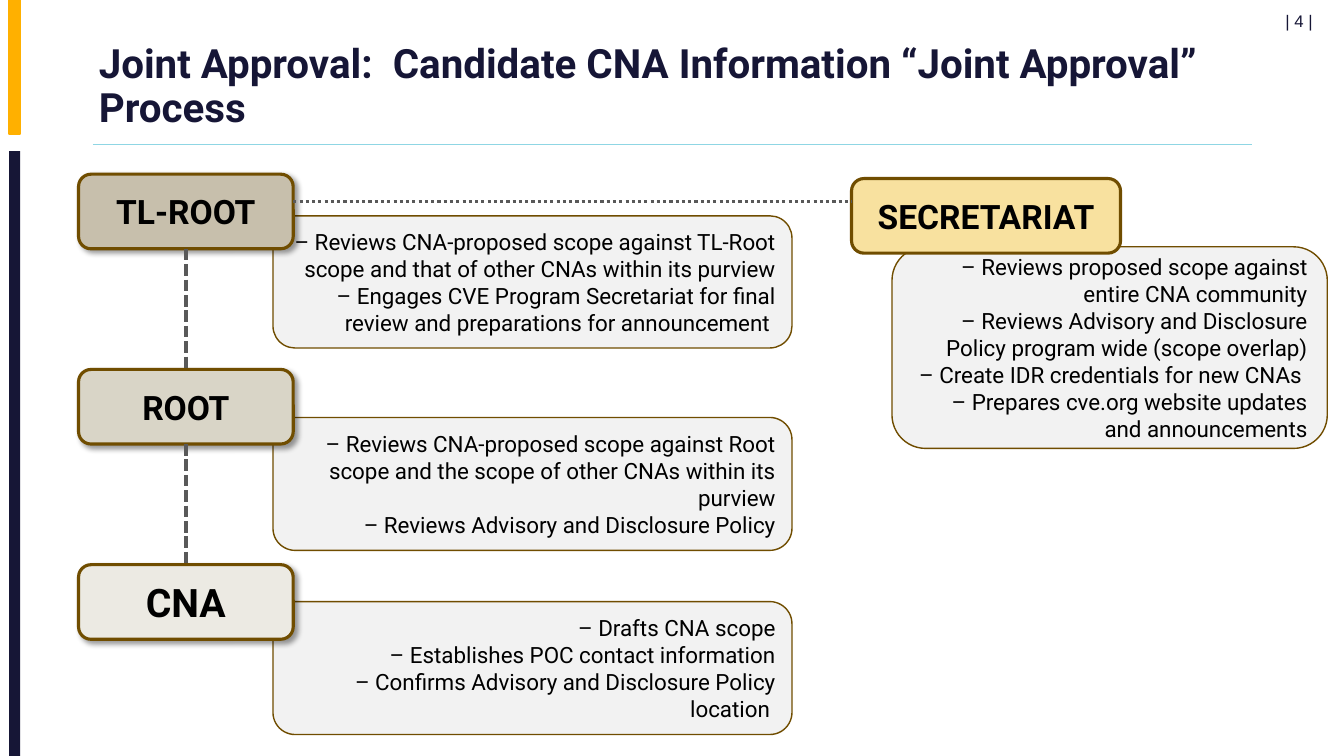
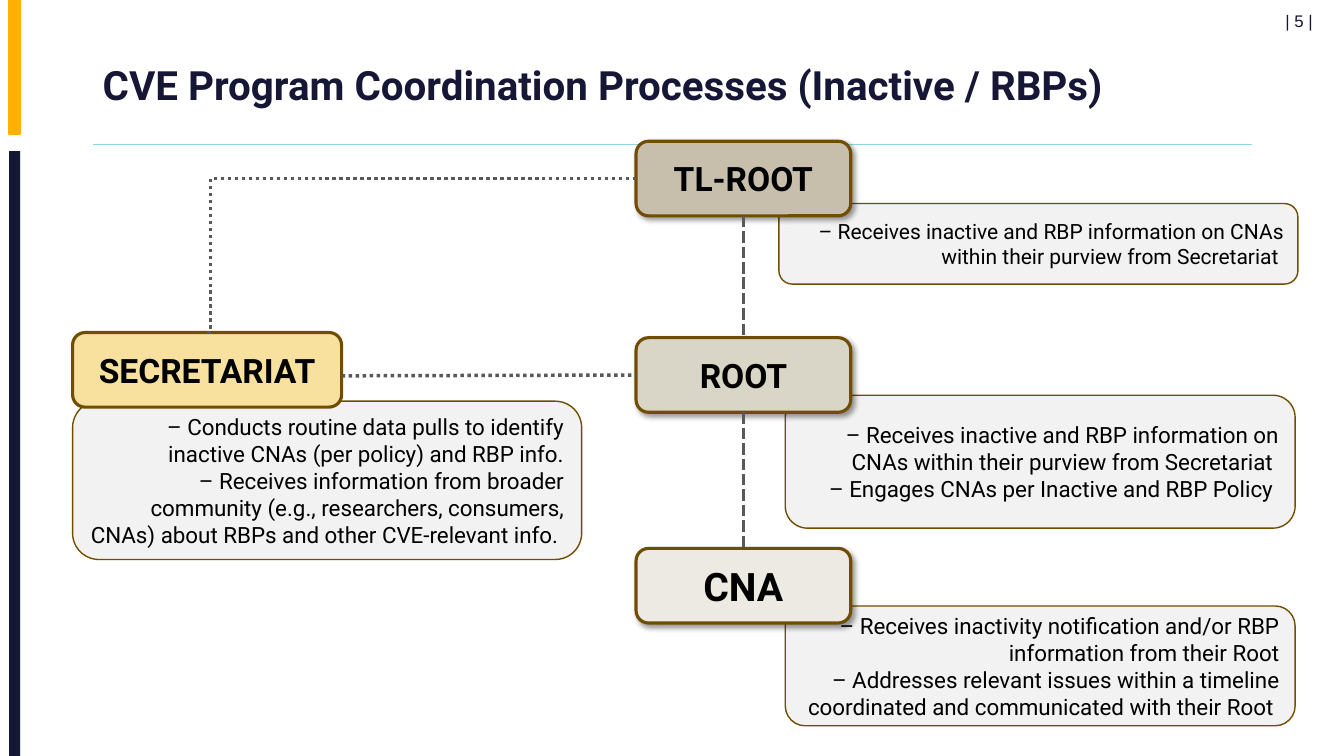
from itertools import pairwise

from lxml.etree import SubElement
from pptx import Presentation
from pptx.dml.color import RGBColor
from pptx.enum.dml import MSO_LINE
from pptx.enum.shapes import MSO_CONNECTOR, MSO_SHAPE
from pptx.enum.text import MSO_ANCHOR, PP_ALIGN
from pptx.oxml.ns import qn
from pptx.util import Cm, Pt

COLORS = {
    "navy": "161636",
    "amber": "FFB000",
    "rule": "8FD6E4",
    "border": "704D00",
    "note": "F2F2F2",
    "link": "595959",
    "text": "000000",
    "shadow": "000000",
    "TL-ROOT": "C7BFAC",
    "ROOT": "D9D5C7",
    "CNA": "ECEAE3",
    "SECRETARIAT": "F8E19F",
}
ROLE_SIZES = {"CNA": 28}
ROLE_WIDTH, SECRETARIAT_WIDTH, ROLE_HEIGHT = 5.41, 6.78, 1.88
TOP, LEFT, BOTTOM = 0, 1, 2


def rgb(name):
    return RGBColor.from_string(COLORS[name])


def cm_box(box):
    return [Cm(length) for length in box]


# Basic parts
def write(frame, lines, size, align, color="text", bold=False, font="Roboto",
          anchor=MSO_ANCHOR.MIDDLE, spacing=None):
    frame.word_wrap = True
    frame.vertical_anchor = anchor
    for i, line in enumerate(lines):
        paragraph = frame.add_paragraph() if i else frame.paragraphs[0]
        paragraph.text = line
        paragraph.alignment = align
        paragraph.line_spacing = spacing
        paragraph.font.name = font
        paragraph.font.size = Pt(size)
        paragraph.font.bold = bold
        paragraph.font.color.rgb = rgb(color)


def add_block(slide, kind, box, fill, border=None, weight=1):
    block = slide.shapes.add_shape(kind, *cm_box(box))
    block.shadow.inherit = False
    block.fill.solid()
    block.fill.fore_color.rgb = rgb(fill)
    if border:
        block.line.color.rgb = rgb(border)
        block.line.width = Pt(weight)
    else:
        block.line.fill.background()
    return block


def add_line(slide, start, end, color="link", weight=2.5, dash=None,
             kind=MSO_CONNECTOR.STRAIGHT):
    line = slide.shapes.add_connector(kind, *cm_box(start + end))
    line.line.color.rgb = rgb(color)
    line.line.width = Pt(weight)
    if dash:
        line.line.dash_style = dash
    SubElement(line._element.spPr, qn("a:effectLst"))
    return line


def cast_shadow(block):
    effects = block._element.spPr.find(qn("a:effectLst"))
    shadow = SubElement(effects, qn("a:outerShdw"), blurRad=str(Pt(4)),
                        dist=str(Pt(3)), dir="2700000", algn="tl",
                        rotWithShape="0")
    color = SubElement(shadow, qn("a:srgbClr"), val=COLORS["shadow"])
    SubElement(color, qn("a:alpha"), val="40000")


# Frame shared by both slides
def add_frame(prs, title, title_left, number):
    slide = prs.slides.add_slide(prs.slide_layouts[6])
    add_block(slide, MSO_SHAPE.RECTANGLE, (0.23, 0, 0.28, 3.38), "amber", "amber")
    add_block(slide, MSO_SHAPE.RECTANGLE, (0.23, 3.81, 0.28, 15.24), "navy")
    add_line(slide, (2.34, 3.63), (31.55, 3.63), "rule", 0.5)
    heading = slide.shapes.add_textbox(
        *cm_box((title_left, 1.02, 31.55 - title_left, 2.36)))
    write(heading.text_frame, [title], 28.8, PP_ALIGN.LEFT, "navy", True,
          spacing=0.9)
    page = slide.shapes.add_textbox(*cm_box((28.55, 0.15, 4.9, 0.71)))
    write(page.text_frame, [f"| {number} | "], 12, PP_ALIGN.RIGHT, "navy",
          font="Arial", anchor=MSO_ANCHOR.TOP)
    return slide


# A role label lying over the note that lists its duties
def add_role(slide, name, left, top, note_box, duties, size=16):
    note = add_block(slide, MSO_SHAPE.ROUNDED_RECTANGLE, note_box, "note", "border")
    write(note.text_frame, duties, size, PP_ALIGN.RIGHT)
    is_secretariat = name == "SECRETARIAT"
    width = SECRETARIAT_WIDTH if is_secretariat else ROLE_WIDTH
    label = add_block(slide, MSO_SHAPE.ROUNDED_RECTANGLE,
                      (left, top, width, ROLE_HEIGHT), name, "border", 2.25)
    if not is_secretariat:
        cast_shadow(label)
    write(label.text_frame, [name], ROLE_SIZES.get(name, 24), PP_ALIGN.CENTER,
          bold=True)
    return label


# A column of roles joined from top to bottom
def add_hierarchy(slide, left, roles):
    labels = [add_role(slide, name, left, *details) for name, *details in roles]
    for upper, lower in pairwise(labels):
        link = add_line(slide, (0, 0), (0, 0), weight=2.75,
                        dash=MSO_LINE.SQUARE_DOT)
        link.begin_connect(upper, BOTTOM)
        link.end_connect(lower, TOP)
    return labels


def add_joint_approval(prs):
    slide = add_frame(
        prs, "Joint Approval:  Candidate CNA Information “Joint Approval” Process",
        2.24, 4)
    left, top, pitch = 1.98, 4.39, 4.92
    note_left, note_width = left + 4.9, 13.08
    add_hierarchy(slide, left, [
        ("TL-ROOT", top, (note_left, 5.44, note_width, 3.33), [
            "– Reviews CNA-proposed scope against TL-Root scope and that of "
            "other CNAs within its purview",
            "– Engages CVE Program Secretariat for final review and "
            "preparations for announcement "]),
        ("ROOT", top + pitch, (note_left, 10.52, note_width, 3.35), [
            "– Reviews CNA-proposed scope against Root scope and the scope of "
            "other CNAs within its purview",
            "– Reviews Advisory and Disclosure Policy"]),
        ("CNA", top + 2 * pitch, (note_left, 15.16, note_width, 3.35), [
            "– Drafts CNA scope",
            "– Establishes POC contact information",
            "– Confirms Advisory and Disclosure Policy location "]),
    ])
    secretariat_left = 21.46
    add_role(slide, "SECRETARIAT", secretariat_left, 4.5,
             (secretariat_left + 1.02, 6.22, 10.97, 5.08), [
                 "– Reviews proposed scope against entire CNA community",
                 "– Reviews Advisory and Disclosure Policy program wide "
                 "(scope overlap)",
                 "– Create IDR credentials for new CNAs ",
                 "– Prepares cve.org website updates and announcements"])
    add_line(slide, (left + ROLE_WIDTH, 5.08), (secretariat_left, 5.08),
             weight=2.25, dash=MSO_LINE.ROUND_DOT)


def add_coordination(prs):
    slide = add_frame(
        prs, "CVE Program Coordination Processes (Inactive / RBPs)", 2.34, 5)
    left, top = 16.03, 3.56
    note_left, note_width = left + 3.76, 12.85
    _, root, _ = add_hierarchy(slide, left, [
        ("TL-ROOT", top, (19.63, 5.13, 13.08, 2.03), [
            "– Receives inactive and RBP information on CNAs within their "
            "purview from Secretariat "], 15),
        ("ROOT", 8.51, (note_left, 9.96, note_width, 3.35), [
            "– Receives inactive and RBP information on CNAs within their "
            "purview from Secretariat ",
            "– Engages CNAs per Inactive and RBP Policy "]),
        ("CNA", 13.82, (note_left, 15.27, note_width, 3.02), [
            "– Receives inactivity notification and/or RBP information from "
            "their Root",
            "– Addresses relevant issues within a timeline coordinated and "
            "communicated with their Root "]),
    ])
    secretariat_left, secretariat_top = 1.83, 8.38
    add_role(slide, "SECRETARIAT", secretariat_left, secretariat_top,
             (secretariat_left, 10.11, 12.83, 3.99), [
                 "– Conducts routine data pulls to identify inactive CNAs "
                 "(per policy) and RBP info.",
                 "– Receives information from broader community (e.g., "
                 "researchers, consumers, CNAs) about RBPs and other "
                 "CVE-relevant info. "])
    # Dotted links from the Secretariat to Root and TL-Root
    root_link = add_line(slide, (secretariat_left + SECRETARIAT_WIDTH, 9.47),
                         (left, 9.45), dash=MSO_LINE.ROUND_DOT)
    root_link.end_connect(root, LEFT)
    top_link = add_line(
        slide, (secretariat_left + SECRETARIAT_WIDTH / 2, secretariat_top),
        (left, top + ROLE_HEIGHT / 2), dash=MSO_LINE.ROUND_DOT,
        kind=MSO_CONNECTOR.ELBOW)
    bend = top_link._element.spPr.find(qn("a:prstGeom")).find(qn("a:avLst"))
    SubElement(bend, qn("a:gd"), name="adj1", fmla="val 800")


def main():
    prs = Presentation()
    prs.slide_width, prs.slide_height = Cm(33.87), Cm(19.05)
    add_joint_approval(prs)
    add_coordination(prs)
    prs.save("out.pptx")


if __name__ == "__main__":
    main()
